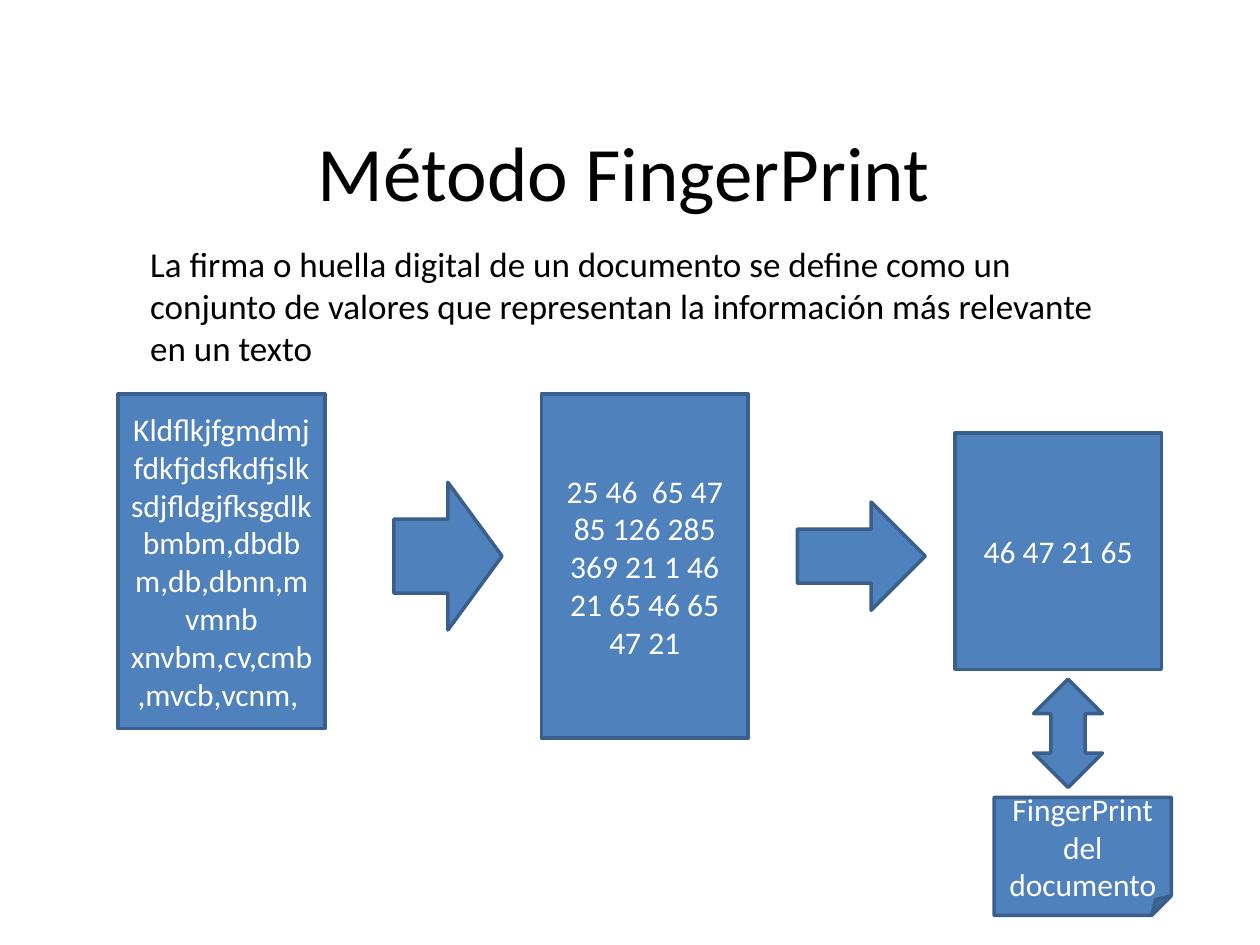
from dataclasses import dataclass

from pptx import Presentation
from pptx.dml.color import RGBColor
from pptx.enum.shapes import MSO_SHAPE
from pptx.enum.text import MSO_ANCHOR, PP_ALIGN
from pptx.util import Inches, Pt

RECT = MSO_SHAPE.RECTANGLE
RIGHT_ARROW = MSO_SHAPE.RIGHT_ARROW
UP_DOWN_ARROW = MSO_SHAPE.UP_DOWN_ARROW
NOTE = MSO_SHAPE.FOLDED_CORNER
CENTER, LEFT = PP_ALIGN.CENTER, PP_ALIGN.LEFT
MIDDLE, TOP = MSO_ANCHOR.MIDDLE, MSO_ANCHOR.TOP

BLACK = RGBColor(0x00, 0x00, 0x00)
WHITE = RGBColor(0xFF, 0xFF, 0xFF)
BLUE = RGBColor(0x4F, 0x81, 0xBD)
DARK_BLUE = RGBColor(0x3A, 0x5F, 0x8C)
FONT = "Calibri"

# The slide is a grid of 128 columns by 96 rows of square cells
COLUMNS = 128
SLIDE_WIDTH, SLIDE_HEIGHT = Inches(10), Inches(7.5)
CELL = SLIDE_WIDTH / COLUMNS


@dataclass
class Box:
    """Position and size in grid cells."""
    col: float
    row: float
    cols: float
    rows: float

    def lengths(self) -> list[int]:
        return [round(n * CELL) for n in (self.col, self.row, self.cols, self.rows)]


@dataclass
class Step:
    kind: int
    box: Box
    text: str = ""


TITLE_BOX = Box(9, 7, 108.8, 20.6)
DEFINITION_BOX = Box(14, 24, 101, 14.2)

STEPS = [
    Step(RECT, Box(12, 40, 21, 34),
         "Kldflkjfgmdmjfdkfjdsfkdfjslksdjfldgjfksgdlkbmbm,dbdbm,db,dbnn,mvmnb "
         "xnvbm,cv,cmb,mvcb,vcnm, "),
    Step(RIGHT_ARROW, Box(40, 49, 11, 15)),
    Step(RECT, Box(55, 40, 21, 35),
         "25 46  65 47 85 126 285 369 21 1 46 21 65 46 65 47 21"),
    Step(RIGHT_ARROW, Box(81, 51, 13, 11)),
    Step(RECT, Box(97, 44, 21, 24), "46 47 21 65"),
    Step(NOTE, Box(101, 81, 18, 12), "FingerPrint del documento"),
    Step(UP_DOWN_ARROW, Box(105, 69, 7, 11)),
]


def place(sp, box: Box) -> None:
    sp.left, sp.top, sp.width, sp.height = box.lengths()


def write(sp, text: str, size: int, color: RGBColor, align=CENTER, anchor=MIDDLE) -> None:
    tf = sp.text_frame
    tf.word_wrap = True
    tf.vertical_anchor = anchor
    p = tf.paragraphs[0]
    p.text = text
    p.alignment = align
    p.font.name = FONT
    p.font.size = Pt(size)
    p.font.color.rgb = color


def draw_step(slide, step: Step) -> None:
    sp = slide.shapes.add_shape(step.kind, *step.box.lengths())
    sp.shadow.inherit = False
    sp.fill.solid()
    sp.fill.fore_color.rgb = BLUE
    sp.line.color.rgb = DARK_BLUE
    sp.line.width = Pt(2)
    if step.text:
        write(sp, step.text, 18, WHITE)


def main() -> None:
    prs = Presentation()
    prs.slide_width, prs.slide_height = SLIDE_WIDTH, SLIDE_HEIGHT
    s = prs.slides.add_slide(prs.slide_layouts[5])

    # Title and definition
    place(s.shapes.title, TITLE_BOX)
    write(s.shapes.title, "Método FingerPrint", 44, BLACK)
    definition = s.shapes.add_textbox(*DEFINITION_BOX.lengths())
    write(definition,
          "La firma o huella digital de un documento se define como un conjunto de "
          "valores que representan la información más relevante en un texto",
          20, BLACK, LEFT, TOP)

    # Flow from text to fingerprint
    for step in STEPS:
        draw_step(s, step)

    prs.save("out.pptx")


if __name__ == "__main__":
    main()
